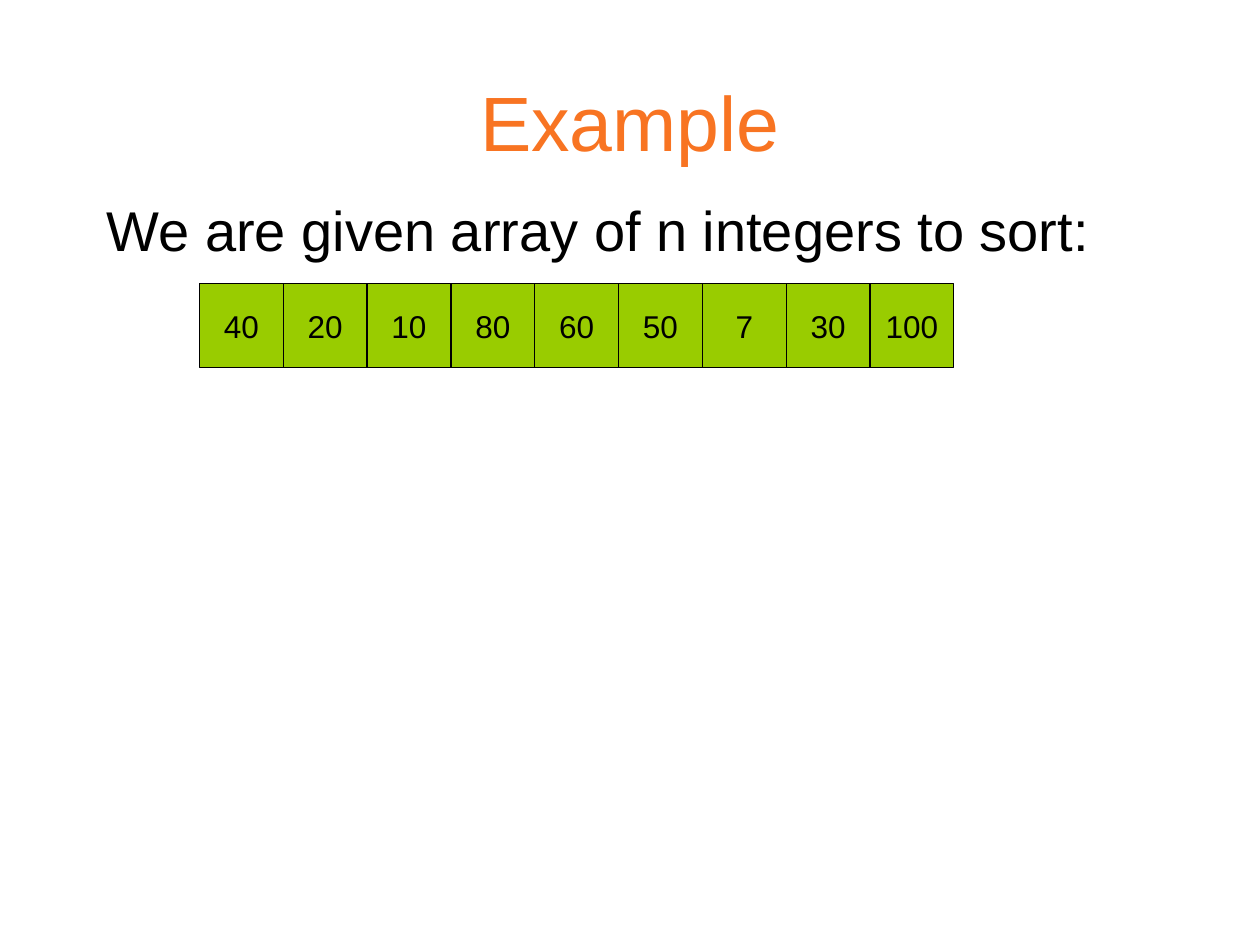
"""Build a slide that shows an array of integers to be sorted."""
from pptx import Presentation
from pptx.dml.color import RGBColor
from pptx.enum.shapes import MSO_SHAPE
from pptx.enum.text import MSO_ANCHOR, PP_ALIGN
from pptx.util import Cm, Pt

TITLE = "Example"
INTRO = "We are given array of n integers to sort:"
VALUES = [40, 20, 10, 80, 60, 50, 7, 30, 100]

ORANGE = RGBColor(0xF8, 0x74, 0x22)
GREEN = RGBColor(0x99, 0xCC, 0x00)
BLACK = RGBColor(0x00, 0x00, 0x00)

MARGIN, TEXT_WIDTH = 1.9, 21.6
ARRAY_LEFT, ARRAY_TOP = 4.02, 5.72
CELL = 1.69
HANGING = Cm(0.95)


def write(sp, text, size=18, color=BLACK, align=PP_ALIGN.CENTER,
          anchor=MSO_ANCHOR.MIDDLE, wrap=True, before=0, hanging=0):
    """Put one formatted paragraph into a shape."""
    tf = sp.text_frame
    tf.word_wrap = wrap
    tf.vertical_anchor = anchor
    p = tf.paragraphs[0]
    p.alignment = align
    p.space_before = Pt(before)
    if hanging:
        pPr = p._p.get_or_add_pPr()
        pPr.set("marL", str(hanging))
        pPr.set("indent", str(-hanging))
    r = p.add_run()
    r.text = text
    r.font.name = "Arial"
    r.font.size = Pt(size)
    r.font.color.rgb = color


def add_cell(s, index, value):
    """Draw one array element at its place in the row."""
    sp = s.shapes.add_shape(MSO_SHAPE.RECTANGLE, Cm(ARRAY_LEFT + index * CELL),
                            Cm(ARRAY_TOP), Cm(CELL), Cm(CELL))
    sp.shadow.inherit = False
    sp.fill.solid()
    sp.fill.fore_color.rgb = GREEN
    sp.line.color.rgb = BLACK
    sp.line.width = Pt(0.75)
    write(sp, str(value), wrap=False)


def main():
    """Build and save the slide."""
    prs = Presentation()
    prs.slide_width, prs.slide_height = Cm(25.4), Cm(19.05)
    s = prs.slides.add_slide(prs.slide_layouts[6])

    title = s.shapes.add_textbox(Cm(MARGIN), Cm(0.85), Cm(TEXT_WIDTH), Cm(3.18))
    write(title, TITLE, size=44, color=ORANGE)

    body = s.shapes.add_textbox(Cm(MARGIN), Cm(3.81), Cm(TEXT_WIDTH), Cm(11.43))
    write(body, INTRO, size=32, align=PP_ALIGN.LEFT, anchor=MSO_ANCHOR.TOP,
          before=8, hanging=HANGING)

    for index, value in enumerate(VALUES):
        add_cell(s, index, value)

    prs.save("out.pptx")


if __name__ == "__main__":
    main()
